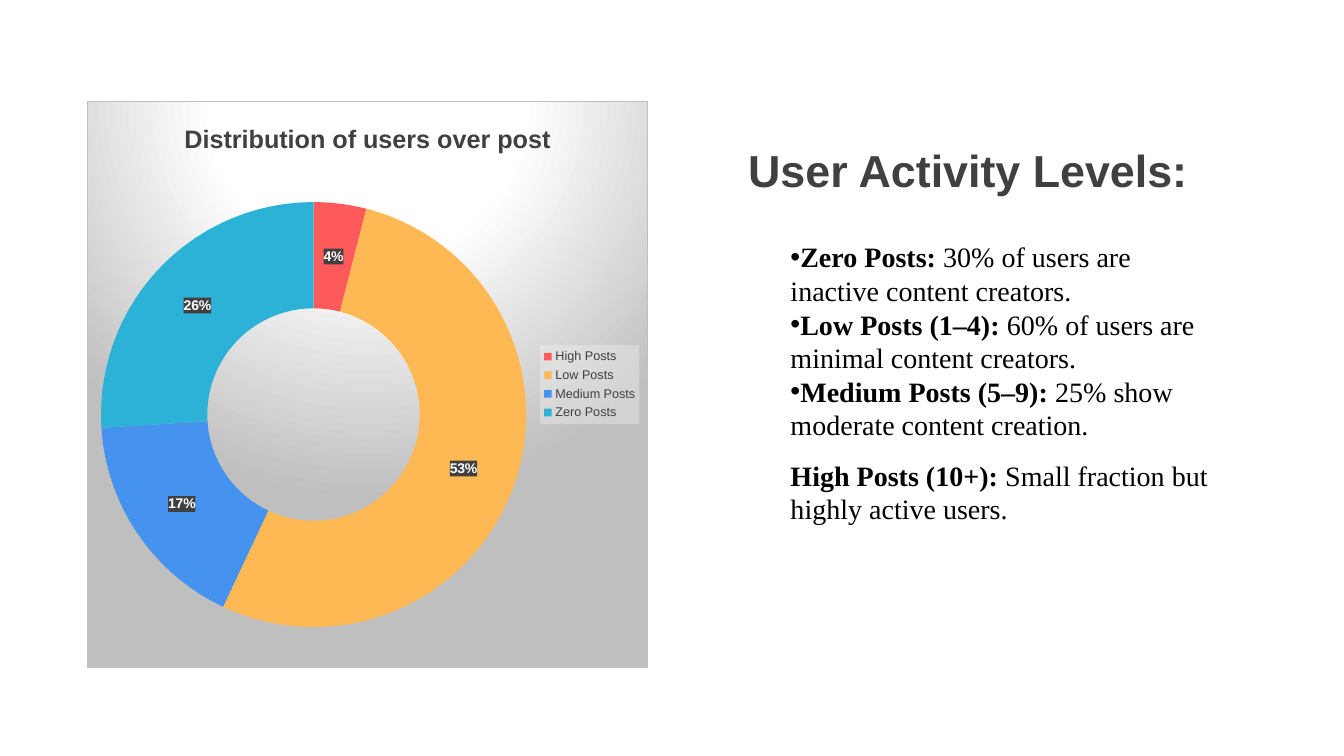
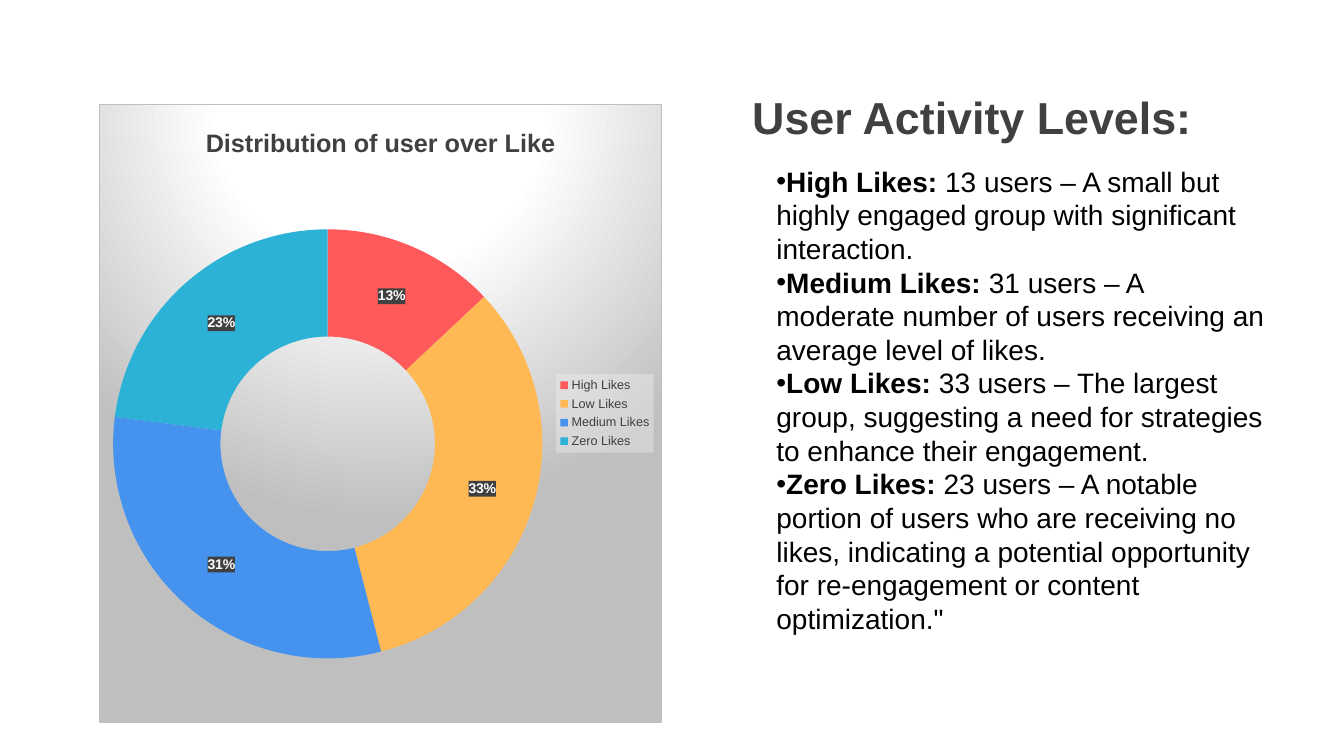
from lxml import etree
from pptx import Presentation
from pptx.chart.data import CategoryChartData
from pptx.dml.color import RGBColor
from pptx.enum.chart import XL_CHART_TYPE, XL_LEGEND_POSITION
from pptx.enum.text import MSO_ANCHOR, MSO_AUTO_SIZE, PP_ALIGN
from pptx.oxml import parse_xml
from pptx.oxml.ns import qn
from pptx.util import Inches, Pt

RING = XL_CHART_TYPE.DOUGHNUT
RIGHT = XL_LEGEND_POSITION.RIGHT
MIDDLE, TOP = MSO_ANCHOR.MIDDLE, MSO_ANCHOR.TOP
GROW = MSO_AUTO_SIZE.SHAPE_TO_FIT_TEXT
LEFT = PP_ALIGN.LEFT

SANS, SERIF = "Arial", "Times New Roman"
DARK, BLACK, WHITE, GRAY = "404040", "000000", "FFFFFF", "BFBFBF"
SLICES = ["FE5A5B", "FFB954", "4592EF", "2CB2D7"]
LEVELS = ["High", "Low", "Medium", "Zero"]
HEAD = "User Activity Levels:"

SPPR = (
    '<c:spPr xmlns:c="http://schemas.openxmlformats.org/drawingml/2006/chart" '
    'xmlns:a="http://schemas.openxmlformats.org/drawingml/2006/main">%s</c:spPr>'
)
VEIL = '<a:solidFill><a:srgbClr val="%s"><a:alpha val="%d"/></a:srgbClr></a:solidFill>'
STOP = '<a:gs pos="%d"><a:srgbClr val="%s"/></a:gs>'
GLOW = (
    '<a:gradFill><a:gsLst>'
    + "".join(STOP % s for s in [(0, WHITE), (39000, WHITE), (100000, GRAY)])
    + '</a:gsLst><a:path path="circle"><a:fillToRect l="50000" t="-80000" '
    'r="50000" b="180000"/></a:path></a:gradFill>'
    '<a:ln w="9525"><a:solidFill><a:srgbClr val="%s"/></a:solidFill></a:ln>' % GRAY
)


def rgb(code):
    return RGBColor.from_string(code)


def style(font, size, color, bold=False, name=SANS):
    font.name, font.size, font.bold = name, Pt(size), bold
    font.color.rgb = rgb(color)


def place(shape, box):
    shape.left, shape.top, shape.width, shape.height = map(Inches, box)


def paint(part, fill):
    """Give a chart part a fill, which must stand before its text style."""
    part.find(qn("c:txPr")).addprevious(parse_xml(SPPR % fill))


def add_title(slide, box):
    title = slide.shapes.title
    place(title, box)
    frame = title.text_frame
    frame.text = HEAD
    frame.vertical_anchor = MIDDLE
    para = frame.paragraphs[0]
    para.alignment, para.line_spacing = LEFT, 1.1
    style(para.runs[0].font, 32, DARK, True)


def add_list(slide, box, items, name, last_plain=False):
    body = slide.placeholders[1]
    place(body, box)
    frame = body.text_frame
    frame.word_wrap, frame.auto_size = True, GROW
    frame.vertical_anchor = TOP
    for i, (lead, rest) in enumerate(items):
        para = frame.add_paragraph() if i else frame.paragraphs[0]
        para.text = lead
        para.add_run().text = " " + rest
        for run, bold in zip(para.runs, (True, False)):
            style(run.font, 20, BLACK, bold, name)
        para.space_before = para.space_after = Pt(0)
        props = para._p.get_or_add_pPr()
        props.set("marL", "0")
        props.set("indent", "0")
    # The closing paragraph may stand apart, without a bullet
    if last_plain:
        para.space_before = Pt(12)
        etree.SubElement(props, qn("a:buNone"))


def add_ring(slide, box, title, noun, values):
    data = CategoryChartData()
    data.categories = [f"{level} {noun}" for level in LEVELS]
    data.add_series(title, values)
    chart = slide.shapes.add_chart(RING, *map(Inches, box), data).chart
    style(chart.font, 10, BLACK)
    paint(chart._chartSpace, GLOW)

    # Heading and legend
    chart.has_title = True
    head = chart.chart_title.text_frame
    head.text = title
    style(head.paragraphs[0].runs[0].font, 18, DARK, True)
    chart.has_legend = True
    legend = chart.legend
    legend.position, legend.include_in_layout = RIGHT, False
    style(legend.font, 9, DARK)
    paint(legend._element, VEIL % ("F2F2F2", 39000))

    # Slices and their labels
    chart.plots[0].vary_by_categories = True
    series = chart.plots[0].series[0]
    for i, color in enumerate(SLICES):
        fill = series.points[i].format.fill
        fill.solid()
        fill.fore_color.rgb = rgb(color)
    labels = series.data_labels
    labels.show_percentage, labels.show_value = True, False
    labels.number_format, labels.number_format_is_linked = "0%", False
    style(labels.font, 10, WHITE, True)
    paint(labels._element, VEIL % (DARK, 90000))


def main():
    deck = Presentation()
    deck.slide_width, deck.slide_height = Inches(13.33), Inches(7.5)
    layout = deck.slide_layouts[1]

    # Posts
    slide = deck.slides.add_slide(layout)
    add_title(slide, (7.32, 1, 5.73, 1.32))
    add_list(slide, (7.74, 2.33, 4.44, 2.96), [
        ("Zero Posts:", "30% of users are inactive content creators."),
        ("Low Posts (1–4):", "60% of users are minimal content creators."),
        ("Medium Posts (5–9):", "25% show moderate content creation."),
        ("High Posts (10+):", "Small fraction but highly active users."),
    ], SERIF, last_plain=True)
    add_ring(slide, (0.86, 1, 5.57, 5.63),
             "Distribution of users over post", "Posts", [4, 53, 17, 26])

    # Likes
    slide = deck.slides.add_slide(layout)
    add_title(slide, (7.36, 0.47, 5.73, 1.32))
    add_list(slide, (7.6, 1.58, 5.09, 4.81), [
        ("High Likes:", "13 users – A small but highly engaged group with "
         "significant interaction."),
        ("Medium Likes:", "31 users – A moderate number of users receiving an "
         "average level of likes."),
        ("Low Likes:", "33 users – The largest group, suggesting a need for "
         "strategies to enhance their engagement."),
        ("Zero Likes:", "23 users – A notable portion of users who are receiving "
         "no likes, indicating a potential opportunity for re-engagement or "
         'content optimization."'),
    ], SANS)
    add_ring(slide, (0.98, 1.03, 5.59, 6.14),
             "Distribution of user over Like", "Likes", [13, 33, 31, 23])

    deck.save("out.pptx")


if __name__ == "__main__":
    main()
